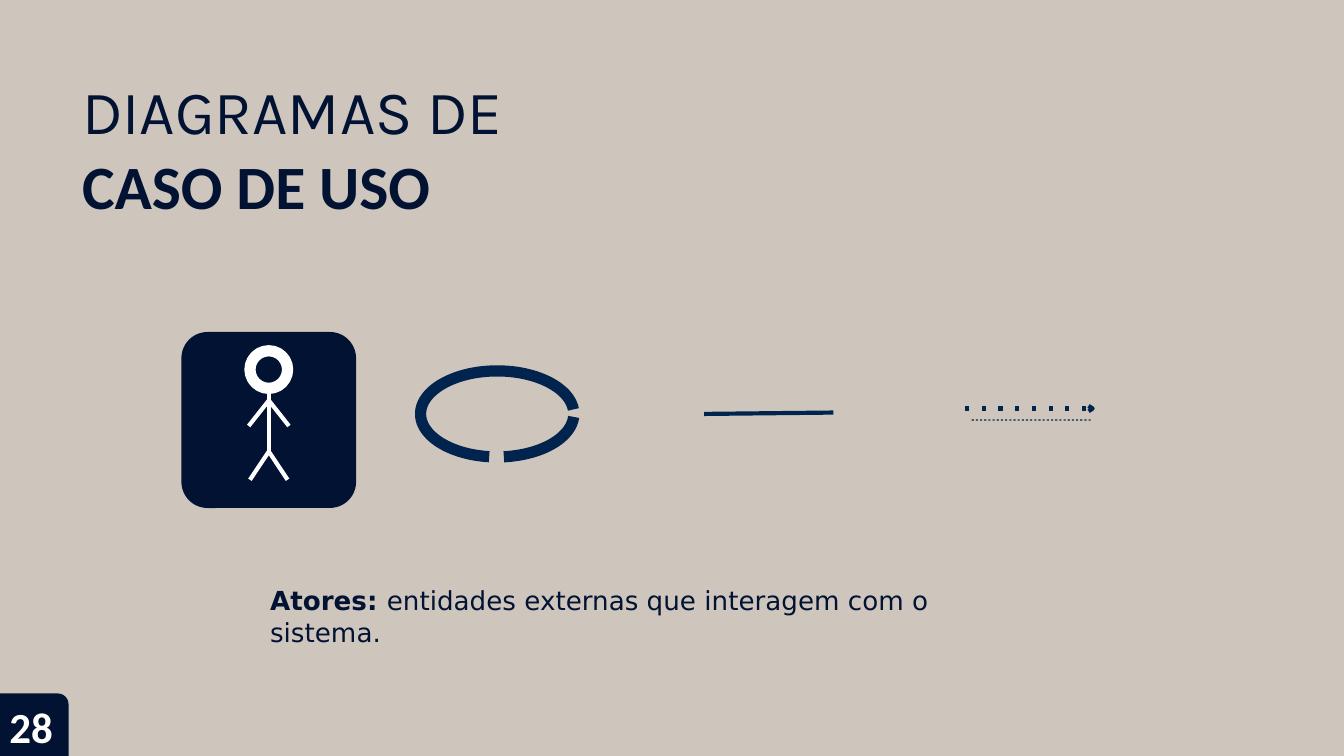
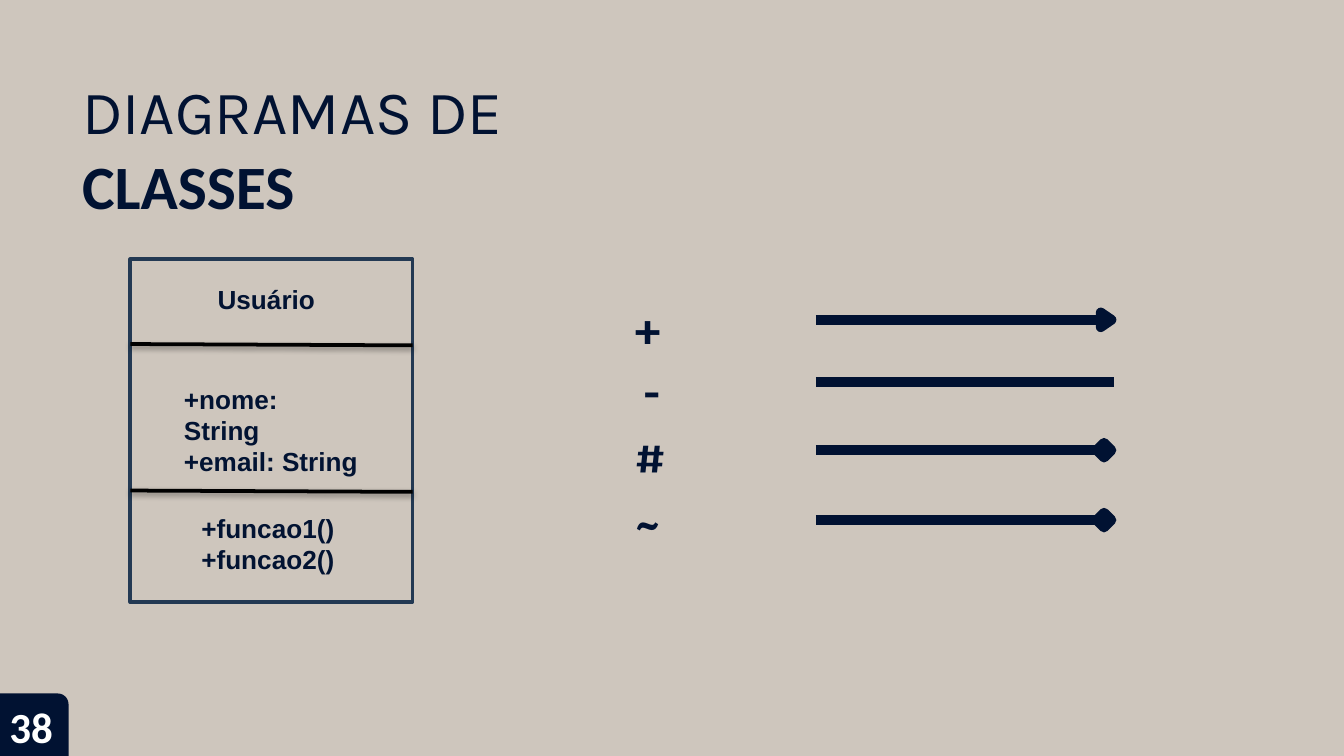
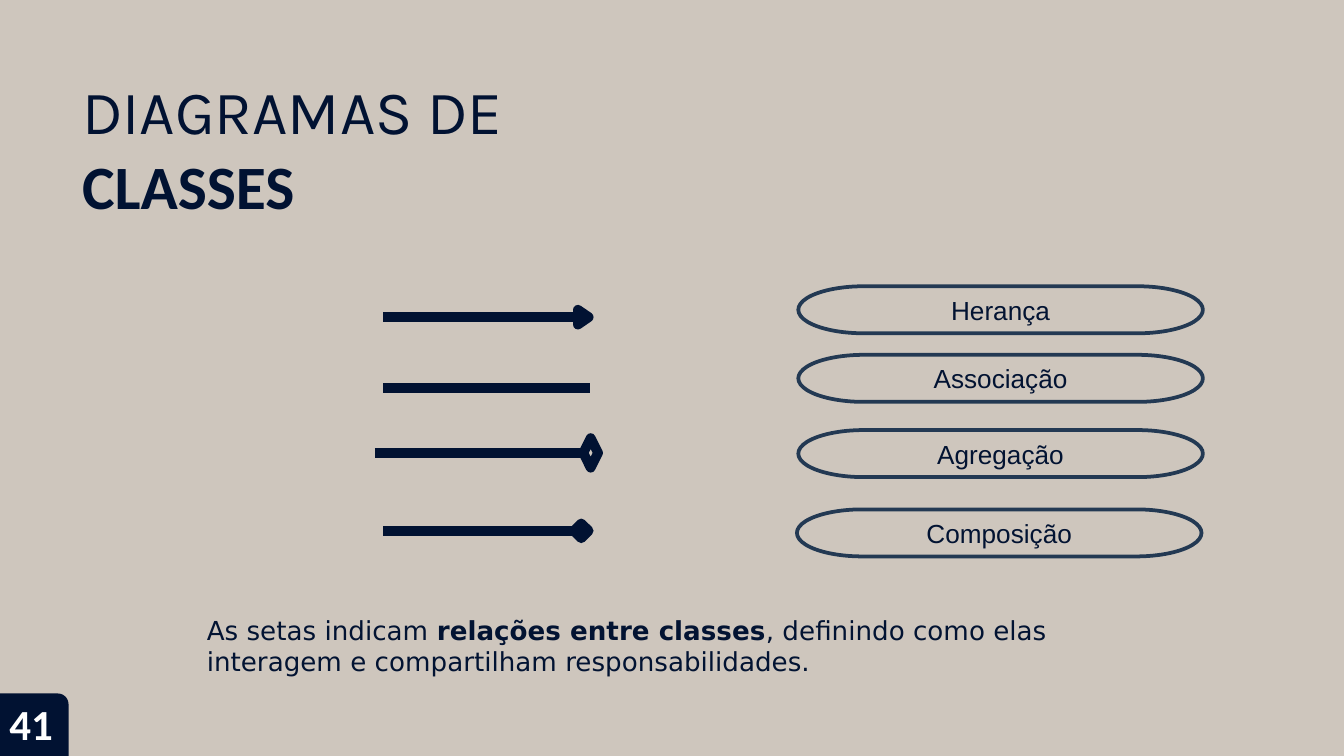
import math
from dataclasses import dataclass

from lxml import etree
from pptx import Presentation
from pptx.dml.color import RGBColor
from pptx.enum import shapes, text
from pptx.oxml import ns
from pptx.util import Inches, Pt

COLORS = {
    "sand": "CEC6BD",
    "navy": "011232",
    "ink": "021332",
    "blue": "01244E",
    "frame": "233953",
    "white": "FFFFFF",
    "black": "000000",
}
INSETS = (0.1, 0.05, 0.1, 0.05)
SHAPE = shapes.MSO_SHAPE
TITLE_ONLY = 5


@dataclass
class Run:
    text: str
    bold: bool = False
    font: str = "Arial"
    size: float = 14
    color: str = "ink"


@dataclass
class Arrow:
    """Horizontal arrow whose head, if any, ends at x2."""
    x1: float
    x2: float
    y: float
    head: str = ""
    half_height: float = 0.055
    filled: bool = True


@dataclass
class Label:
    x: float
    y: float
    w: float
    h: float
    lines: list[str]


def rgb(name: str) -> RGBColor:
    return RGBColor.from_string(COLORS[name])


def write(tf, paragraphs: list[list[Run]], insets=INSETS) -> None:
    tf.word_wrap = True
    tf.auto_size = text.MSO_AUTO_SIZE.NONE
    tf.margin_left, tf.margin_top, tf.margin_right, tf.margin_bottom = map(Inches, insets)
    for i, runs in enumerate(paragraphs):
        p = tf.add_paragraph() if i else tf.paragraphs[0]
        for run in runs:
            r = p.add_run()
            r.text = run.text
            r.font.name, r.font.size, r.font.bold = run.font, Pt(run.size), run.bold
            r.font.color.rgb = rgb(run.color)


def add_text(s, x: float, y: float, w: float, h: float, paragraphs, insets=INSETS):
    tf = s.shapes.add_textbox(*map(Inches, (x, y, w, h))).text_frame
    write(tf, paragraphs, insets)
    return tf


def paint(sp, fill: str = "", line: str = "", width: float = 2) -> None:
    sp.shadow.inherit = False
    if fill:
        sp.fill.solid()
        sp.fill.fore_color.rgb = rgb(fill)
    else:
        sp.fill.background()
    if line:
        sp.line.color.rgb = rgb(line)
        sp.line.width = Pt(width)
    else:
        sp.line.fill.background()


def add_shape(s, kind, x: float, y: float, w: float, h: float, **style):
    sp = s.shapes.add_shape(kind, *map(Inches, (x, y, w, h)))
    paint(sp, **style)
    return sp


def add_outline(s, contours, closed: bool = False, **style) -> None:
    """Draw one freeform from lists of points in inches."""
    builder = None
    for points in contours:
        start, *rest = [(Inches(x), Inches(y)) for x, y in points]
        if builder is None:
            builder = s.shapes.build_freeform(*start)
        else:
            builder.move_to(*start)
        builder.add_line_segments(rest, close=closed)
    paint(builder.convert_to_shape(), **style)


def add_line(s, x1, y1, x2, y2, color: str, width: float, dash: str = "", shadow: bool = False) -> None:
    ends = map(Inches, (x1, y1, x2, y2))
    c = s.shapes.add_connector(shapes.MSO_CONNECTOR.STRAIGHT, *ends)
    c.line.color.rgb = rgb(color)
    c.line.width = Pt(width)
    sp_pr = c._element.spPr
    if dash:
        etree.SubElement(sp_pr.find(ns.qn("a:ln")), ns.qn("a:prstDash"), val=dash)
    effects = etree.SubElement(sp_pr, ns.qn("a:effectLst"))
    if shadow:
        outer = etree.SubElement(effects, ns.qn("a:outerShdw"), blurRad=str(Pt(3.1)),
                                 dist=str(Pt(1.6)), dir="5400000", rotWithShape="0")
        tint = etree.SubElement(outer, ns.qn("a:srgbClr"), val=COLORS["black"])
        etree.SubElement(tint, ns.qn("a:alpha"), val="38000")


def add_arrow(s, a: Arrow) -> None:
    length = {"": 0, "triangle": 0.08, "diamond": 0.11}[a.head]
    base = a.x2 - length
    add_line(s, a.x1, a.y, base, a.y, "navy", 5.25)
    if not a.head:
        return
    top, bottom = a.y - a.half_height, a.y + a.half_height
    if a.head == "triangle":
        points = [(base, top), (a.x2, a.y), (base, bottom)]
    else:
        middle = base + length / 2
        points = [(a.x2, a.y), (middle, top), (base, a.y), (middle, bottom)]
    add_outline(s, [points], closed=True, fill="navy" if a.filled else "",
                line="navy", width=5.25)


def add_slide(prs, subject: str, number: str, number_top: float = 5.18):
    s = prs.slides.add_slide(prs.slide_layouts[TITLE_ONLY])
    title = s.shapes.title
    title.left, title.top, title.width, title.height = map(Inches, (0.59, 0.54, 3.8, 1.14))
    tf = title.text_frame
    write(tf, [[Run("DIAGRAMAS DE", False, "Karla", 33, "navy")],
               [Run(subject, True, "Calibri", 33, "navy")]], (0.02, 0, 0, 0))
    tf.vertical_anchor = text.MSO_ANCHOR.TOP
    for p in tf.paragraphs:
        p.alignment = text.PP_ALIGN.LEFT
    tf.paragraphs[1].space_before = Pt(1)

    badge = add_shape(s, SHAPE.ROUND_1_RECTANGLE, 0, 5.16, 0.51, 0.46, fill="navy")
    badge.height = prs.slide_height - badge.top
    badge.adjustments[0] = 0.17
    add_text(s, 0.04, number_top, 0.61, 0.42,
             [[Run(number, True, "Calibri", 23, "white")]], (0.03, 0.03, 0, 0))
    return s


def ellipse_arc(cx, cy, rx, ry, start: int, end: int) -> list[tuple[float, float]]:
    return [(cx + rx * math.cos(math.radians(t)), cy + ry * math.sin(math.radians(t)))
            for t in range(start, end + 1, 3)]


def add_actor(s) -> None:
    card = add_shape(s, SHAPE.ROUNDED_RECTANGLE, 1.35, 2.47, 1.3, 1.31, fill="navy")
    card.adjustments[0] = 0.15
    add_shape(s, SHAPE.OVAL, 1.86, 2.61, 0.28, 0.28, line="white", width=6)
    x, neck, shoulder, hip = 2, 2.9, 2.98, 3.36
    add_line(s, x, neck, x, hip, "white", 2.25)
    for side in (-1, 1):
        add_line(s, x, shoulder, x + side * 0.15, shoulder + 0.19, "white", 2.25)
        add_line(s, x, hip, x + side * 0.14, hip + 0.21, "white", 2.25)


def use_case_slide(prs) -> None:
    s = add_slide(prs, "CASO DE USO", "28")
    add_actor(s)
    arcs = [ellipse_arc(3.7, 3.08, 0.57, 0.32, *span) for span in ((4, 85), (96, 355))]
    add_outline(s, arcs, line="blue", width=6)
    add_line(s, 5.24, 3.08, 6.2, 3.07, "blue", 2.25)
    add_line(s, 7.18, 3.04, 8.13, 3.04, "blue", 2.25, dash="dot")
    add_outline(s, [[(8.1, 3.02), (8.13, 3.04), (8.1, 3.06)]], line="blue", width=2.25)
    pitch = 0.87 / 28
    lefts = [7.23 + i * pitch for i in range(29)]
    dots = [[(x, 3.12), (x, 3.13), (x + pitch / 2, 3.13), (x + pitch / 2, 3.12)] for x in lefts]
    add_outline(s, dots, closed=True, fill="blue")
    add_text(s, 1.99, 4.34, 5.77, 0.48, [[
        Run("Atores: ", True, "DejaVu Sans", color="navy"),
        Run("entidades externas que interagem com o sistema.", False, "DejaVu Sans", color="navy"),
    ]], (0.02, 0.01, 0, 0))


def class_box_slide(prs) -> None:
    s = add_slide(prs, "CLASSES", "38")
    symbols = [[Run(mark, True, "Karla", 25, "navy")] for mark in ("+", "- #", "~")]
    tf = add_text(s, 4.72, 2.15, 0.25, 1.94, symbols, (0, 0.07, 0, 0))
    plus, minus_hash, tilde = tf.paragraphs
    for p, margin, indent in ((plus, 0.01, 0), (minus_hash, 0, 0.07), (tilde, 0.01, 0)):
        p_pr = p._p.get_or_add_pPr()
        p_pr.set("marL", str(Inches(margin)))
        p_pr.set("indent", str(Inches(indent)))
    minus_hash.line_spacing = 1.16
    tilde.space_before = Pt(5)

    for arrow in (Arrow(6.07, 8.27, 2.38, "triangle"), Arrow(6.07, 8.29, 2.84),
                  Arrow(6.07, 8.27, 3.35, "diamond"), Arrow(6.07, 8.27, 3.87, "diamond")):
        add_arrow(s, arrow)

    add_shape(s, SHAPE.RECTANGLE, 0.97, 1.93, 2.1, 2.55, line="frame")
    for y in (2.56, 3.65):
        add_line(s, 0.97, y, 3.07, y + 0.01, "black", 2, shadow=True)
    for label in (Label(1.52, 2.06, 0.95, 0.34, ["Usuário"]),
                  Label(1.27, 2.8, 1.51, 0.81, ["+nome: String", "+email: String"]),
                  Label(1.4, 3.76, 1.3, 0.81, ["+funcao1()", "+funcao2()"])):
        add_text(s, label.x, label.y, label.w, label.h,
                 [[Run(line, True)] for line in label.lines])


def relations_slide(prs) -> None:
    s = add_slide(prs, "CLASSES", "41", 5.16)
    for arrow in (Arrow(2.85, 4.38, 2.36, "triangle"), Arrow(2.85, 4.39, 2.89),
                  Arrow(2.79, 4.45, 3.37, "diamond", 0.11, False),
                  Arrow(2.85, 4.38, 3.95, "diamond")):
        add_arrow(s, arrow)
    for name, x, y in (("Herança", 5.94, 2.13), ("Associação", 5.94, 2.64),
                       ("Agregação", 5.94, 3.2), ("Composição", 5.93, 3.79)):
        sp = add_shape(s, SHAPE.FLOWCHART_TERMINATOR, x, y, 3.01, 0.35, line="frame")
        write(sp.text_frame, [[Run(name)]])
        sp.text_frame.vertical_anchor = text.MSO_ANCHOR.MIDDLE
        sp.text_frame.paragraphs[0].alignment = text.PP_ALIGN.CENTER
    add_text(s, 1.44, 4.52, 7.45, 0.57, [[
        Run("As setas indicam ", False, "DejaVu Sans"),
        Run("relações entre classes", True, "DejaVu Sans"),
        Run(", definindo como elas interagem e compartilham responsabilidades.",
            False, "DejaVu Sans"),
    ]])


def main() -> None:
    prs = Presentation()
    prs.slide_width = Inches(10)
    prs.slide_height = prs.slide_width * 9 // 16
    fill = prs.slide_master.background.fill
    fill.solid()
    fill.fore_color.rgb = rgb("sand")
    use_case_slide(prs)
    class_box_slide(prs)
    relations_slide(prs)
    prs.save("out.pptx")


if __name__ == "__main__":
    main()
